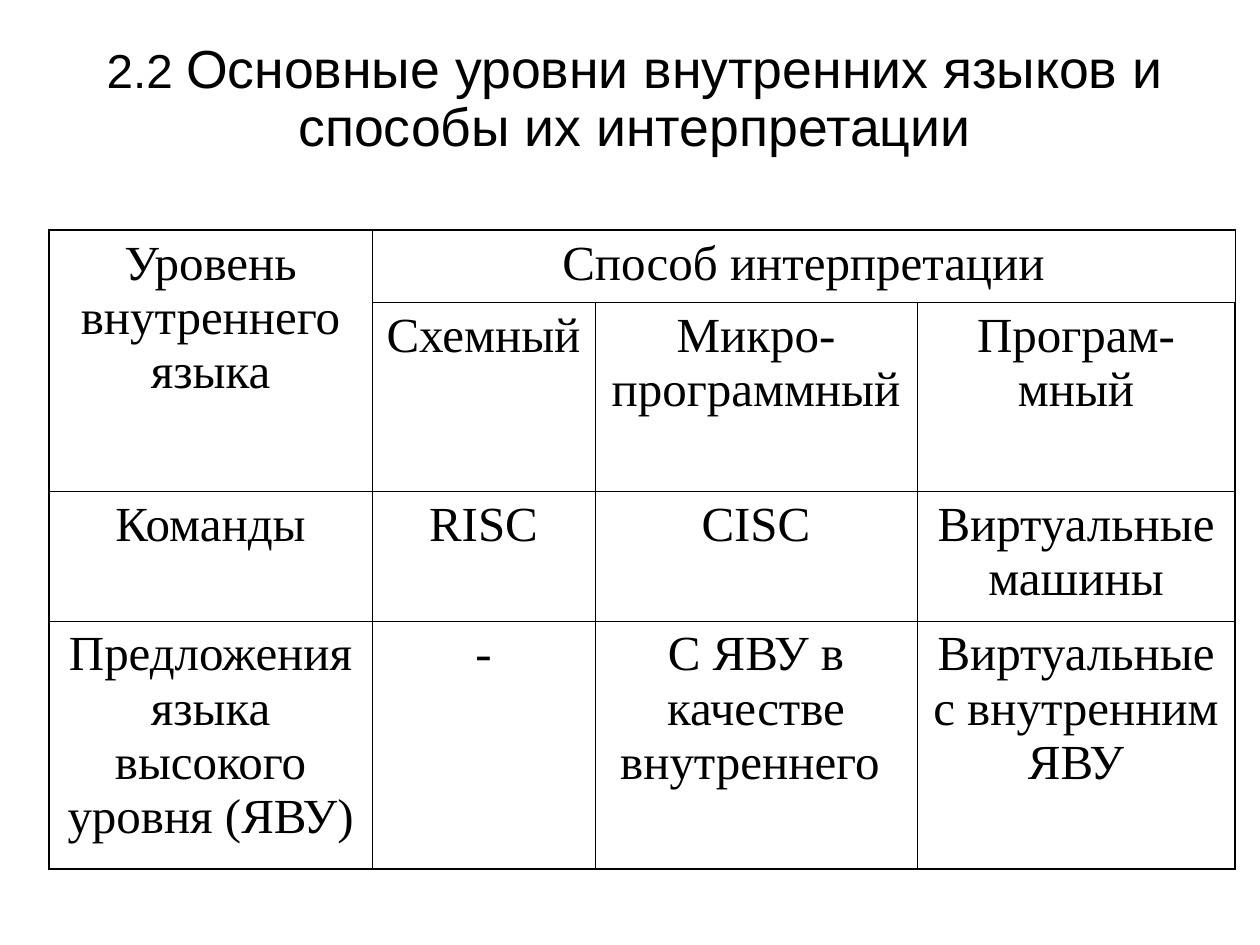
from lxml.etree import SubElement
from pptx import Presentation
from pptx.dml.color import RGBColor
from pptx.enum.text import MSO_ANCHOR, MSO_AUTO_SIZE, PP_ALIGN
from pptx.oxml.ns import qn
from pptx.util import Emu, Pt

INK = RGBColor(0, 0, 0)
PAPER = RGBColor(255, 255, 255)
THICK, THIN = Pt(1.08), Pt(0.45)
COLS = [323, 223, 322, 318]
ROWS = [72, 189, 130, 248]
CELLS = [
    ["Уровень внутреннего языка", "Способ интерпретации", "", ""],
    ["", "Схемный", "Микро-программный", "Програм-мный"],
    ["Команды", "RISC", "CISC", "Виртуальные машины"],
    ["Предложения языка высокого уровня (ЯВУ)", "-",
     "С ЯВУ в качестве внутреннего ", "Виртуальные с внутренним ЯВУ"],
]


def px(n):
    """Turn pixels into EMU."""
    return Emu(round(n * 914400 / 126))


def write(para, text, size=28, font="Times New Roman", before=0, line=1.0):
    """Add a formatted, centred run to a paragraph."""
    para.alignment = PP_ALIGN.CENTER
    para.space_before = Pt(before)
    para.line_spacing = line
    run = para.add_run()
    run.text = text
    run.font.size = Pt(size)
    run.font.name = font
    run.font.color.rgb = INK


def edge(cell, side, width):
    """Draw one border of a cell."""
    props = cell._tc.get_or_add_tcPr()
    line = SubElement(props, qn(f"a:ln{side}"), w=str(int(width)))
    fill = SubElement(line, qn("a:solidFill"))
    SubElement(fill, qn("a:srgbClr"), val=str(INK))


def title(slide, left, top, width, height):
    """Place the slide title in its box."""
    head = slide.shapes.title
    head.left, head.top = px(left), px(top)
    head.width, head.height = px(width), px(height)
    frame = head.text_frame
    frame.word_wrap = True
    frame.auto_size = MSO_AUTO_SIZE.NONE
    frame.vertical_anchor = MSO_ANCHOR.MIDDLE
    para = frame.paragraphs[0]
    write(para, "2.2 ", size=27.2, font="Arial", line=0.9)
    write(para, "Основные уровни внутренних языков и способы их интерпретации",
          size=30.6, font="Arial", line=0.9)


def grid(slide, left, top):
    """Place the table of language levels with its corner at left, top."""
    frame = slide.shapes.add_table(len(ROWS), len(COLS), px(left), px(top),
                                   px(sum(COLS)), px(sum(ROWS)))
    table = frame.table
    table.first_row = table.horz_banding = False
    for col, width in zip(table.columns, COLS):
        col.width = px(width)
    for row, height in zip(table.rows, ROWS):
        row.height = px(height)
    table.cell(0, 0).merge(table.cell(1, 0))
    table.cell(0, 1).merge(table.cell(0, 3))
    for r, texts in enumerate(CELLS):
        for c, text in enumerate(texts):
            cell = table.cell(r, c)
            outer = {"L": c == 0, "R": c == len(COLS) - 1,
                     "T": r == 0, "B": r == len(ROWS) - 1}
            for side, bold in outer.items():
                edge(cell, side, THICK if bold else THIN)
            cell.fill.solid()
            cell.fill.fore_color.rgb = PAPER
            if text:
                write(cell.text_frame.paragraphs[0], text, before=7)


def main():
    """Build and save the slide."""
    deck = Presentation()
    deck.slide_width, deck.slide_height = px(1260), px(945)
    slide = deck.slides.add_slide(deck.slide_layouts[5])
    title(slide, 34, 25, 1201, 150)
    grid(slide, 49, 230)
    deck.save("out.pptx")


if __name__ == "__main__":
    main()
